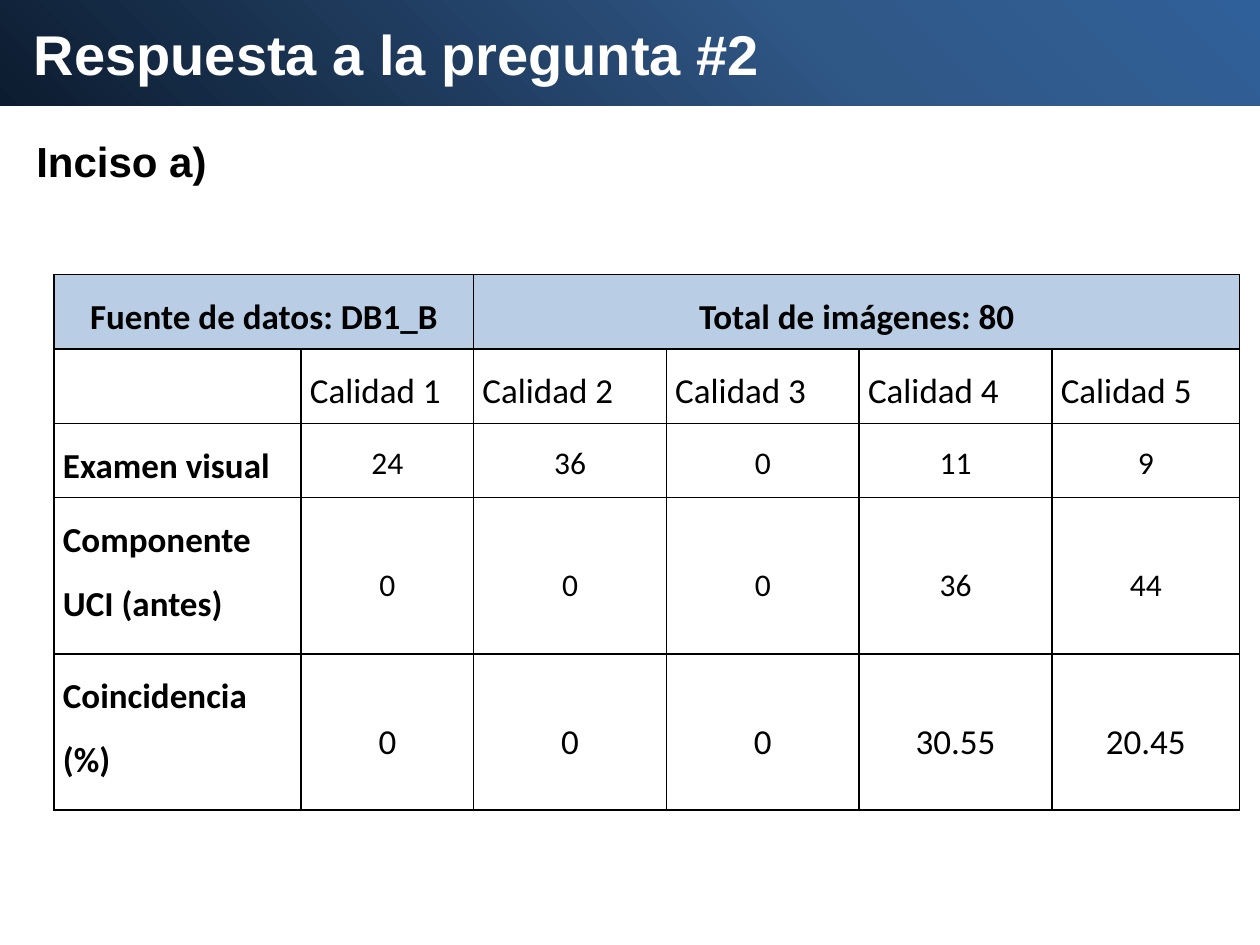
from lxml import etree
from pptx import Presentation
from pptx.dml.color import RGBColor
from pptx.enum.shapes import MSO_SHAPE
from pptx.enum.text import MSO_ANCHOR, MSO_AUTO_SIZE, PP_ALIGN
from pptx.oxml import parse_xml
from pptx.oxml.ns import nsdecls, qn
from pptx.util import Inches, Pt

RECTANGLE = MSO_SHAPE.RECTANGLE
TOP, MIDDLE = MSO_ANCHOR.TOP, MSO_ANCHOR.MIDDLE
CENTER, JUSTIFY = PP_ALIGN.CENTER, PP_ALIGN.JUSTIFY
FIT_SHAPE = MSO_AUTO_SIZE.SHAPE_TO_FIT_TEXT

WIDTH, HEIGHT = 10, 7.5
BLACK, WHITE, HEADER_BLUE = "000000", "FFFFFF", "B9CDE5"
BANNER_STOPS = [(0, "0C1C30"), (65, "305887"), (100, "306099")]

COLUMN_WIDTHS = [1.96, 1.37, 1.53, 1.53, 1.53, 1.49]
ROW_HEIGHTS = [0.59, 0.59, 0.59, 1.24, 1.24]
HEADER_GROUPS = [(0, 1, "Fuente de datos: DB1_B"), (2, 5, "Total de imágenes: 80")]
QUALITIES = [""] + [f"Calidad {level}" for level in range(1, 6)]
RESULTS = [
    ("Examen visual", ["24", "36", "0", "11", "9"], 18, 1.15),
    ("Componente UCI (antes)", ["0", "0", "0", "36", "44"], 18, 1.5),
    ("Coincidencia (%)", ["0", "0", "0", "30.55", "20.45"], 20, 1.5),
]


def color(value):
    return RGBColor.from_string(value)


def inches(box):
    return [Inches(length) for length in box]


def style_font(paragraph, name, size, value, bold):
    font = paragraph.font
    if paragraph.runs:
        font = paragraph.runs[0].font
    font.name, font.size, font.bold = name, Pt(size), bold
    font.color.rgb = color(value)


def add_label(slide, box, text, size, value, wrap):
    text_frame = slide.shapes.add_textbox(*inches(box)).text_frame
    text_frame.word_wrap = wrap
    text_frame.auto_size = FIT_SHAPE
    text_frame.text = text
    style_font(text_frame.paragraphs[0], "Arial", size, value, True)


def fill_radial(shape, stops):
    stop_xml = "".join(
        f'<a:gs pos="{share * 1000}"><a:srgbClr val="{value}"/></a:gs>'
        for share, value in stops
    )
    gradient = parse_xml(
        f'<a:gradFill {nsdecls("a")} rotWithShape="1"><a:gsLst>{stop_xml}</a:gsLst>'
        '<a:path path="circle"><a:fillToRect t="100000" r="100000"/></a:path>'
        "</a:gradFill>"
    )
    shape.element.spPr.find(qn("a:prstGeom")).addnext(gradient)


def add_banner(slide, box, title):
    left, top, width, height = box
    banner = slide.shapes.add_shape(RECTANGLE, *inches(box))
    banner.shadow.inherit = False
    banner.line.fill.background()
    fill_radial(banner, BANNER_STOPS)
    title_box = (left + 0.17, top + 0.19, width * 0.6, 0.64)
    add_label(slide, title_box, title, 32, WHITE, False)


def add_borders(cell):
    properties = cell._tc.get_or_add_tcPr()
    for index, side in enumerate(("lnL", "lnR", "lnT", "lnB")):
        line = etree.Element(qn(f"a:{side}"), w=str(Pt(1)))
        fill = etree.SubElement(line, qn("a:solidFill"))
        etree.SubElement(fill, qn("a:srgbClr"), val=BLACK)
        properties.insert(index, line)


def write_cell(cell, text, size=20, bold=False, align=JUSTIFY, anchor=TOP, spacing=1.5):
    cell.text_frame.text = text
    cell.vertical_anchor = anchor
    paragraph = cell.text_frame.paragraphs[0]
    paragraph.alignment = align
    paragraph.line_spacing = spacing
    style_font(paragraph, "Calibri", size, BLACK, bold)


def add_results_table(slide, box):
    frame = slide.shapes.add_table(len(ROW_HEIGHTS), len(COLUMN_WIDTHS), *inches(box))
    table = frame.table
    table.first_row = table.horz_banding = False
    for column, width in zip(table.columns, COLUMN_WIDTHS):
        column.width = Inches(width)
    for row, height in zip(table.rows, ROW_HEIGHTS):
        row.height = Inches(height)

    for cell in table.iter_cells():
        cell.margin_left = cell.margin_right = Inches(0.07)
        cell.margin_top = cell.margin_bottom = 0
        cell.fill.background()
        add_borders(cell)

    for first, last, text in HEADER_GROUPS:
        header = table.cell(0, first)
        header.merge(table.cell(0, last))
        header.fill.solid()
        header.fill.fore_color.rgb = color(HEADER_BLUE)
        write_cell(header, text, bold=True, align=CENTER)

    for column, text in enumerate(QUALITIES):
        write_cell(table.cell(1, column), text)

    for row, (label, values, size, spacing) in enumerate(RESULTS, start=2):
        write_cell(table.cell(row, 0), label, bold=True)
        for column, value in enumerate(values, start=1):
            write_cell(table.cell(row, column), value, size, False, CENTER, MIDDLE, spacing)


def main():
    presentation = Presentation()
    presentation.slide_width, presentation.slide_height = inches((WIDTH, HEIGHT))
    slide = presentation.slides.add_slide(presentation.slide_layouts[6])
    add_banner(slide, (0, -0.08, WIDTH, 0.92), "Respuesta a la pregunta #2")
    add_label(slide, (0.19, 1.03, 1.74, 0.5), "Inciso a)", 24, BLACK, True)
    add_results_table(slide, (0.43, 2.18, sum(COLUMN_WIDTHS), sum(ROW_HEIGHTS)))
    presentation.save("out.pptx")


if __name__ == "__main__":
    main()
